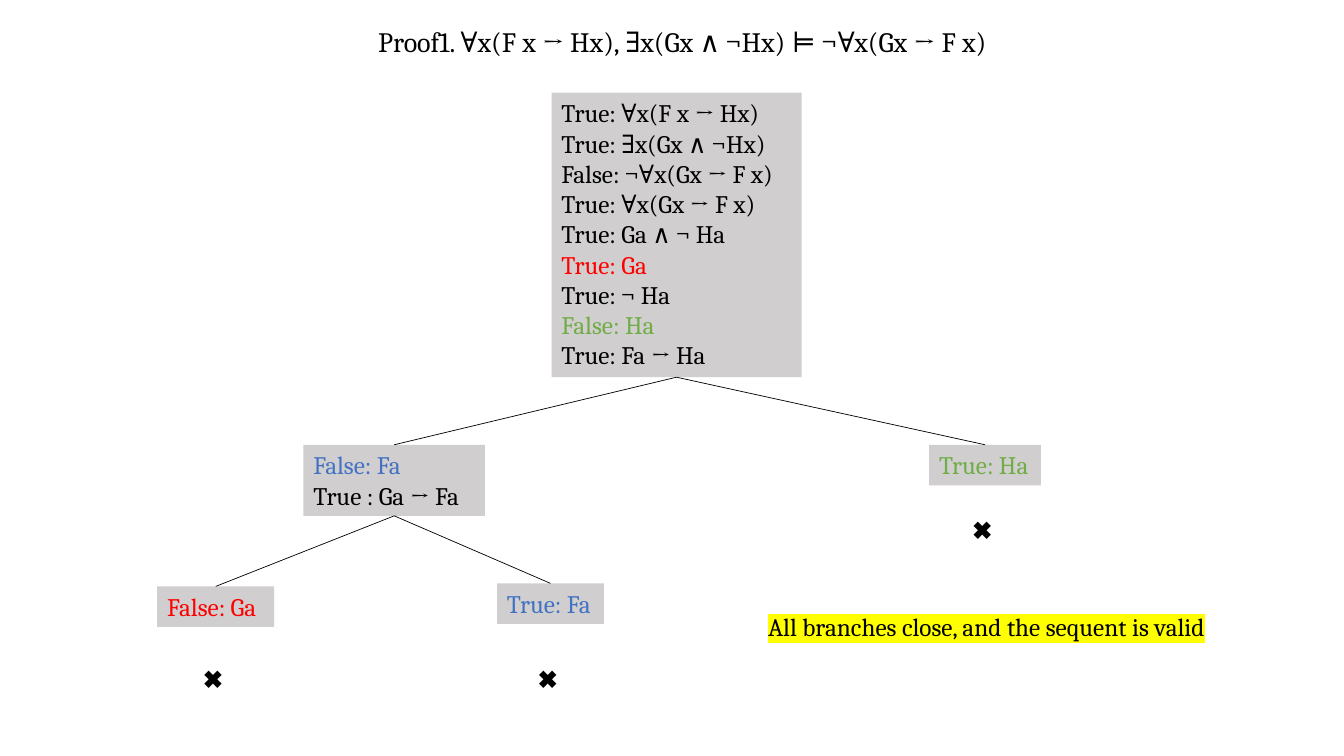
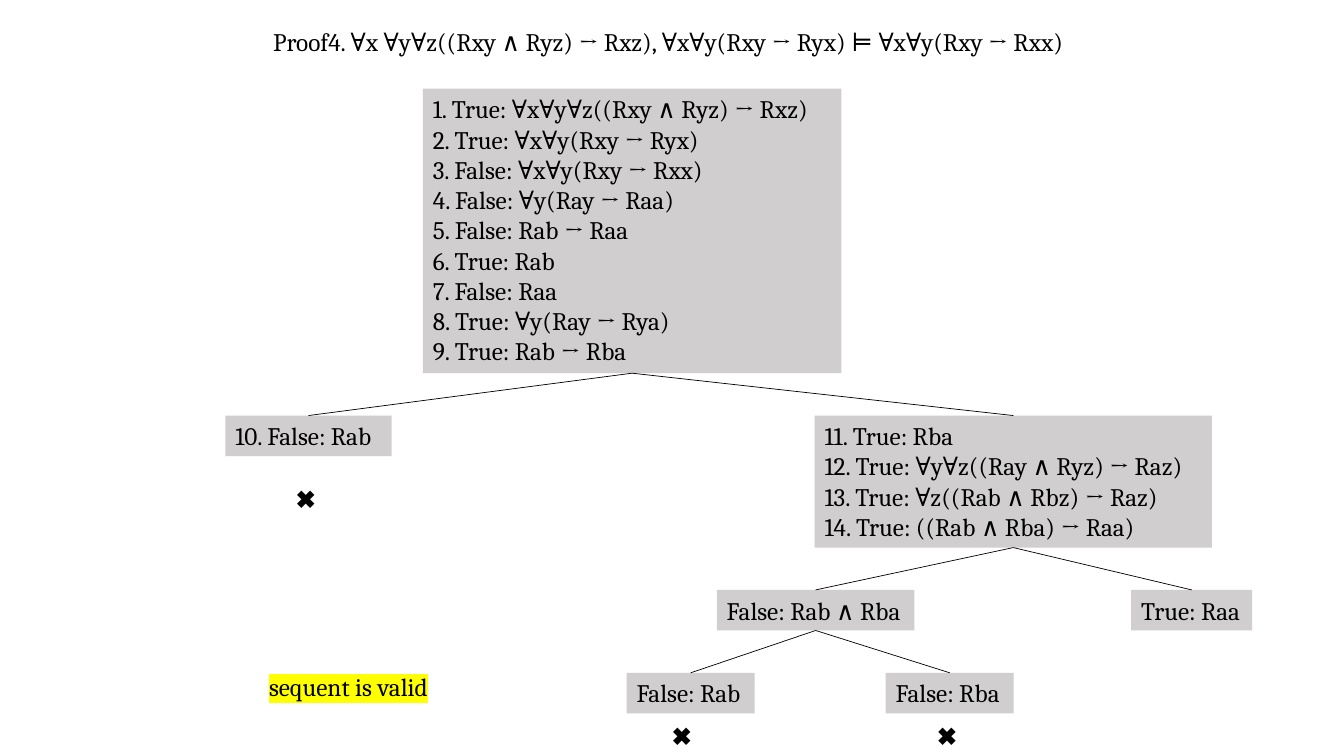
from dataclasses import dataclass

from lxml import etree
from pptx import Presentation
from pptx import util as u
from pptx.dml.color import RGBColor
from pptx.enum import shapes, text
from pptx.oxml.ns import qn


@dataclass(frozen=True)
class Theme:
    ink: str = "000000"
    panel: str = "D0CECE"
    marker: str = "FFFF00"
    red: str = "FF0000"
    green: str = "70AD47"
    blue: str = "4472C4"
    face: str = "Cambria"
    symbol_face: str = "Noto Sans CJK JP"
    size: int = 18
    leading: float = 1.21
    rule: float = 0.5
    inset: float = 0.05


THEME = Theme()
CLOSED = "✖️"


@dataclass
class Node:
    """A box of the proof tree; close is the gap down to its closing mark."""
    center: float
    width: float
    lines: list
    children: tuple = ()
    drop: float = 0
    close: float | None = None
    close_shift: float = 0


PROOFS = [
    {
        "title": "Proof1. ∀x(F x → Hx), ∃x(Gx ∧ ¬Hx) ⊨ ¬∀x(Gx → F x)",
        "title_at": (3.65, 0.19, 6.65, 0.44), "title_size": 20,
        "top": 0.92, "gap": 0.67,
        "tree": Node(6.71, 2.48, [
            "True: ∀x(F x → Hx)",
            "True: ∃x(Gx ∧ ¬Hx)",
            "False: ¬∀x(Gx → F x)",
            "True: ∀x(Gx → F x)",
            "True: Ga ∧ ¬ Ha",
            ("True: Ga", THEME.red),
            "True: ¬ Ha",
            ("False: Ha", THEME.green),
            "True: Fa → Ha",
        ], (
            Node(3.91, 1.8, [("False: Fa", THEME.blue), "True : Ga → Fa"], (
                Node(2.14, 1.16, [("False: Ga", THEME.red)], drop=0.03, close=0.31),
                Node(5.46, 1.06, [("True: Fa", THEME.blue)], close=0.34),
            )),
            Node(9.77, 1.11, [("True: Ha", THEME.green)], close=0.24),
        )),
        "verdict": "All branches close, and the sequent is valid",
        "verdict_at": (7.52, 6.02, 4.8, 0.4),
    },
    {
        "title": "Proof4. ∀x ∀y∀z((Rxy ∧ Ryz) → Rxz), ∀x∀y(Rxy → Ryx) ⊨ ∀x∀y(Rxy → Rxx)",
        "title_at": (2.61, 0.21, 8.49, 0.4), "title_size": 18,
        "top": 0.88, "gap": 0.42,
        "tree": Node(6.27, 4.15, [
            "1. True: ∀x∀y∀z((Rxy ∧ Ryz) → Rxz)",
            "2. True: ∀x∀y(Rxy → Ryx)",
            "3. False: ∀x∀y(Rxy → Rxx)",
            "4. False: ∀y(Ray → Raa)",
            "5. False: Rab → Raa",
            "6. True: Rab",
            "7. False: Raa",
            "8. True: ∀y(Ray → Rya)",
            "9. True: Rab → Rba",
        ], (
            Node(3.06, 1.65, ["10. False: Rab"], close=0.22),
            Node(10.05, 3.94, [
                "11. True: Rba",
                "12. True: ∀y∀z((Ray ∧ Ryz) → Raz)",
                "13. True: ∀z((Rab ∧ Rbz) → Raz)",
                "14. True: ((Rab ∧ Rba) → Raa)",
            ], (
                Node(8.09, 1.96, ["False: Rab ∧ Rba"], (
                    Node(6.85, 1.27, ["False: Rab"], close=0.02, close_shift=-0.06),
                    Node(9.42, 1.27, ["False: Rba"], close=0.02),
                )),
                Node(11.82, 1.2, ["True: Raa"]),
            )),
        )),
        "verdict": "sequent is valid",
        "verdict_at": (2.57, 6.61, 2.1, 0.4),
    },
]


def inches(*lengths):
    return [u.Inches(length) for length in lengths]


def height_of(line_count):
    return line_count * THEME.size * THEME.leading / 72 + 2 * THEME.inset


def write(holder, lines, size=THEME.size, face=THEME.face, highlight=None):
    """Fill a shape with left-aligned lines, each a string or (string, colour)."""
    frame = holder.text_frame
    frame_format = {
        "word_wrap": True,
        "auto_size": text.MSO_AUTO_SIZE.NONE,
        "vertical_anchor": text.MSO_ANCHOR.TOP,
        "margin_left": u.Inches(2 * THEME.inset),
        "margin_right": u.Inches(2 * THEME.inset),
        "margin_top": u.Inches(THEME.inset),
        "margin_bottom": u.Inches(THEME.inset),
    }
    for name, value in frame_format.items():
        setattr(frame, name, value)
    for index, line in enumerate(lines):
        wording, colour = (line, THEME.ink) if isinstance(line, str) else line
        paragraph = frame.paragraphs[0] if index == 0 else frame.add_paragraph()
        paragraph.alignment = text.PP_ALIGN.LEFT
        run = paragraph.add_run()
        run.text = wording
        run.font.size = u.Pt(size)
        run.font.color.rgb = RGBColor.from_string(colour)
        run.font.name = face
        latin = run.font._element.find(qn("a:latin"))
        east_asian = etree.Element(qn("a:ea"), typeface=face)
        latin.addnext(east_asian)
        if highlight:
            marker = etree.Element(qn("a:highlight"))
            etree.SubElement(marker, qn("a:srgbClr"), val=highlight)
            latin.addprevious(marker)


def add_note(slide, place, wording, **style):
    write(slide.shapes.add_textbox(*inches(*place)), [wording], **style)


def add_branch(slide, parent, child):
    branch = slide.shapes.add_connector(shapes.MSO_CONNECTOR.STRAIGHT, 0, 0, 0, 0)
    branch.begin_connect(parent, 2)
    branch.end_connect(child, 0)
    branch.line.color.rgb = RGBColor.from_string(THEME.ink)
    branch.line.width = u.Pt(THEME.rule)
    etree.SubElement(branch._element.spPr, qn("a:effectLst"))


def add_tree(slide, node, top, gap):
    """Draw a node with everything below it and return the node's box."""
    top += node.drop
    height = height_of(len(node.lines))
    box = slide.shapes.add_shape(
        shapes.MSO_SHAPE.RECTANGLE,
        *inches(node.center - node.width / 2, top, node.width, height))
    box.shadow.inherit = False
    box.fill.solid()
    box.fill.fore_color.rgb = RGBColor.from_string(THEME.panel)
    box.line.fill.background()
    write(box, node.lines)
    bottom = top + height
    for child in node.children:
        add_branch(slide, box, add_tree(slide, child, bottom + gap, gap))
    if node.close is not None:
        width = 0.45
        left = node.center + node.close_shift - width / 2
        add_note(slide, (left, bottom + node.close, width, height_of(1)),
                 CLOSED, face=THEME.symbol_face)
    return box


def add_proof(deck, proof):
    slide = deck.slides.add_slide(deck.slide_layouts[5])
    title = slide.shapes.title
    title.left, title.top, title.width, title.height = inches(*proof["title_at"])
    write(title, [proof["title"]], size=proof["title_size"])
    add_tree(slide, proof["tree"], proof["top"], proof["gap"])
    add_note(slide, proof["verdict_at"], proof["verdict"], highlight=THEME.marker)


def main():
    deck = Presentation()
    deck.slide_width, deck.slide_height = inches(13.33, 7.5)
    for proof in PROOFS:
        add_proof(deck, proof)
    deck.save("out.pptx")


if __name__ == "__main__":
    main()
